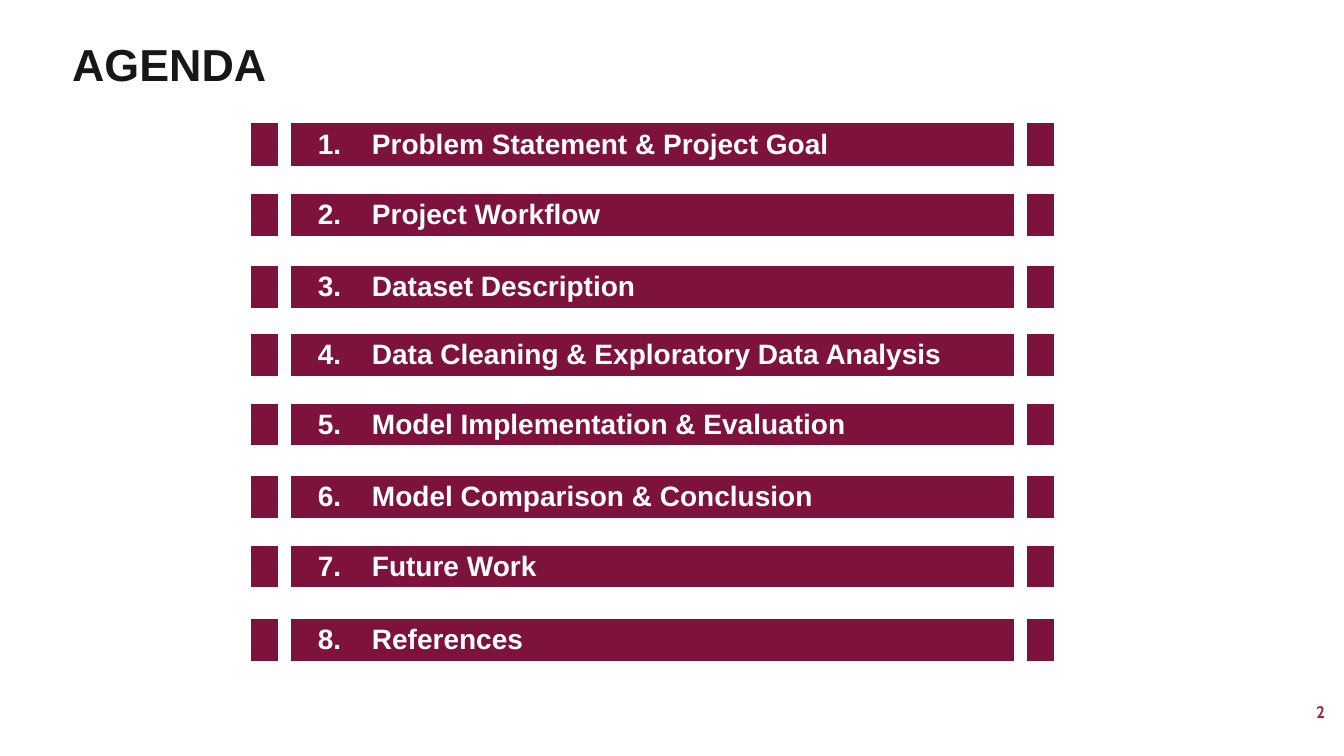
from dataclasses import dataclass

from lxml.etree import SubElement
from pptx import Presentation
from pptx.dml.color import RGBColor
from pptx.enum.text import MSO_ANCHOR as Anchor, PP_ALIGN as Align
from pptx.oxml.ns import qn
from pptx.slide import Slide
from pptx.util import Emu, Pt

PX_PER_INCH = 100.8


def px(length: int) -> Emu:
    return Emu(round(length * 914400 / PX_PER_INCH))


@dataclass(frozen=True)
class Theme:
    maroon: str = "7D123C"
    white: str = "FFFFFF"
    ink: str = "161718"
    red: str = "A32537"
    font: str = "Arial"
    number_font: str = "Cabin"
    title_size: int = 32
    item_size: int = 20
    number_size: int = 12
    spacer_size: int = 6


@dataclass(frozen=True)
class AgendaBlock:
    top: int
    first_number: int
    rows: tuple[tuple[int, str], ...]  # height and topic; no topic is a spacer


THEME = Theme()
SPACER = (28, "")
BAR = 40
AGENDA_LEFT = 251
COLUMNS = (27, 13, 77, 646, 13, 27)
GAP_COLUMNS = (1, 4)
NUMBER_COLUMN, TOPIC_COLUMN = 2, 3
NO_GRID_STYLE = "{2D5ABB26-0587-4C30-8999-92F81FD0307C}"

BLOCKS = (
    AgendaBlock(95, 1, (SPACER, (43, "Problem Statement & Project Goal"),
                        SPACER, (BAR, "Project Workflow"))),
    AgendaBlock(306, 4, (SPACER, (BAR, "Data Cleaning & Exploratory Data Analysis"),
                         SPACER, (BAR, "Model Implementation & Evaluation"))),
    AgendaBlock(448, 6, (SPACER, (BAR, "Model Comparison & Conclusion"),
                         SPACER, (BAR, "Future Work"))),
    AgendaBlock(238, 3, (SPACER, (BAR, "Dataset Description"), SPACER)),
    AgendaBlock(619, 8, ((BAR, "References"),)),
)


def write(paragraph, text: str, size: int, color: str, font: str, align: Align) -> None:
    run = paragraph.add_run()
    run.text = text
    paragraph.alignment = align
    for name, value in {"size": Pt(size), "bold": True, "name": font}.items():
        setattr(run.font, name, value)
    run.font.color.rgb = RGBColor.from_string(color)


def format_cell(cell, text: str, fill: str | None, align: Align) -> None:
    margin = px(4 if text else 0)
    for name, value in {"margin_left": margin, "margin_right": margin,
                        "margin_top": margin, "margin_bottom": margin,
                        "vertical_anchor": Anchor.MIDDLE}.items():
        setattr(cell, name, value)
    if fill:
        cell.fill.solid()
        cell.fill.fore_color.rgb = RGBColor.from_string(fill)
    else:
        cell.fill.background()
    paragraph = cell.text_frame.paragraphs[0]
    if text:
        write(paragraph, text, THEME.item_size, THEME.white, THEME.font, align)
    else:
        # A small end mark keeps empty cells from stretching their row
        SubElement(paragraph._p, qn("a:endParaRPr"), sz=str(THEME.spacer_size * 100))


def draw_block(slide: Slide, block: AgendaBlock) -> None:
    height = sum(row_height for row_height, _ in block.rows)
    table = slide.shapes.add_table(len(block.rows), len(COLUMNS), px(AGENDA_LEFT),
                                   px(block.top), px(sum(COLUMNS)), px(height)).table
    table.first_row = table.horz_banding = False
    table._tbl.tblPr.find(qn("a:tableStyleId")).text = NO_GRID_STYLE
    for column, width in zip(table.columns, COLUMNS):
        column.width = px(width)

    number = block.first_number
    for row, (row_height, topic) in enumerate(block.rows):
        table.rows[row].height = px(row_height)
        texts = {NUMBER_COLUMN: f"{number}.", TOPIC_COLUMN: topic} if topic else {}
        for column in range(len(COLUMNS)):
            bar_fill = THEME.white if column in GAP_COLUMNS else THEME.maroon
            align = Align.CENTER if column == NUMBER_COLUMN else Align.LEFT
            format_cell(table.cell(row, column), texts.get(column, ""),
                        bar_fill if topic else None, align)
        number += bool(topic)


def draw_title(slide: Slide) -> None:
    title = slide.shapes.title
    for name, value in {"left": 62, "top": 38, "width": 1180, "height": 81}.items():
        setattr(title, name, px(value))
    title.text_frame.vertical_anchor = Anchor.TOP
    heading = title.text_frame.paragraphs[0]
    heading.line_spacing = 0.9
    write(heading, "AGENDA", THEME.title_size, THEME.ink, THEME.font, Align.LEFT)


def draw_page_number(slide: Slide) -> None:
    frame = slide.shapes.add_textbox(px(1033), px(692), px(302), px(40)).text_frame
    frame.word_wrap = True
    frame.vertical_anchor = Anchor.MIDDLE
    write(frame.paragraphs[0], "2", THEME.number_size, THEME.red,
          THEME.number_font, Align.RIGHT)


def main() -> None:
    deck = Presentation()
    deck.slide_width, deck.slide_height = px(1344), px(756)
    slide = deck.slides.add_slide(deck.slide_layouts[5])  # title only
    draw_title(slide)
    draw_page_number(slide)
    for block in BLOCKS:
        draw_block(slide, block)
    deck.save("out.pptx")


if __name__ == "__main__":
    main()
